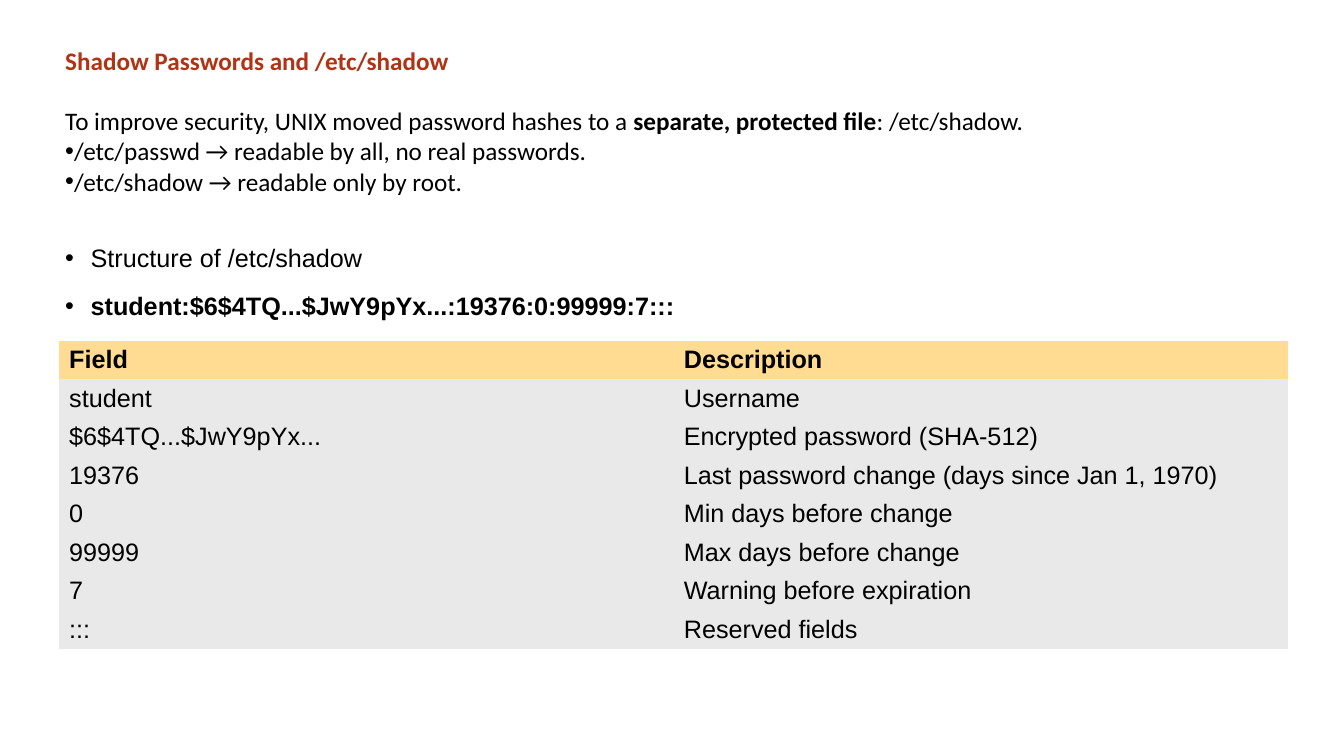
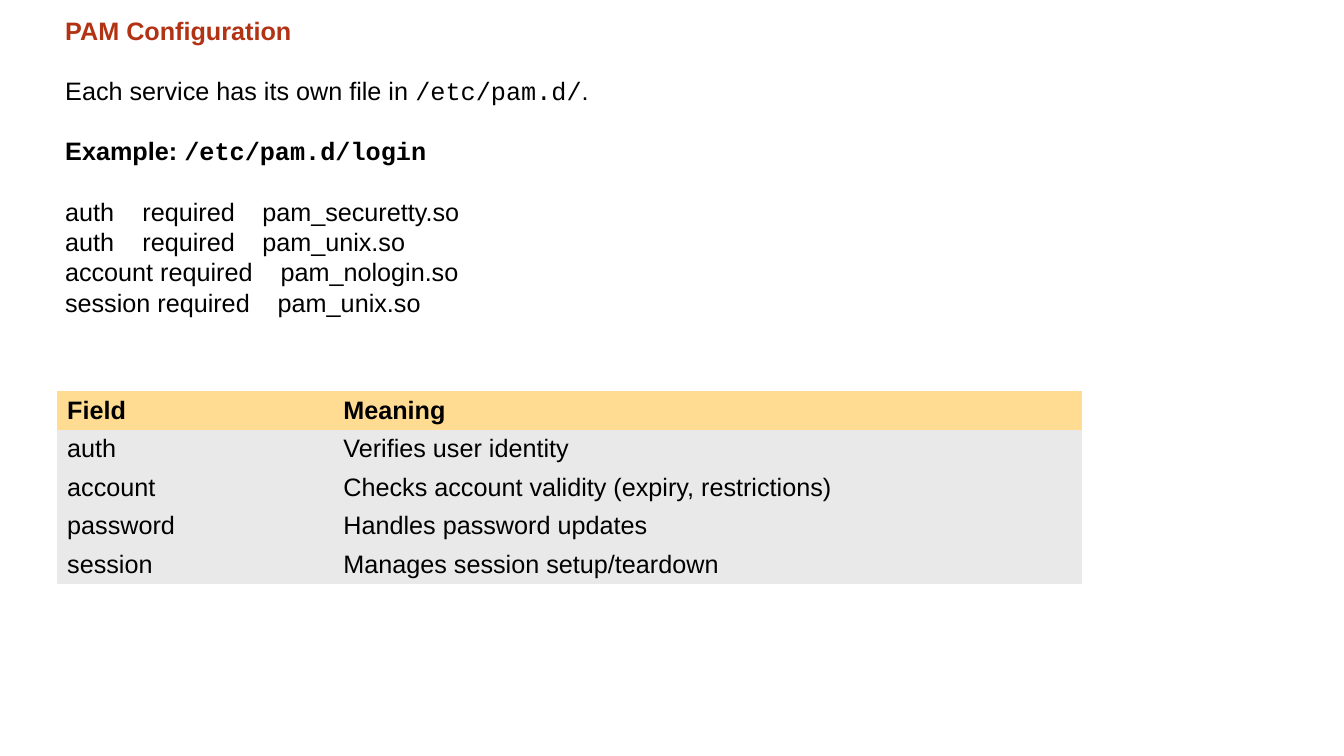
import pptx
import pptx.dml.color
import pptx.enum.text
import pptx.oxml
import pptx.oxml.ns
import pptx.util
from pptx.util import Cm

TITLE_COLOR = "B23214"
TEXT_COLOR = "000000"
HEADER_FILL = "FFDC91"
ROW_FILL = "E9E9E9"
LINE = 21.6  # points from one baseline to the next
TEXT_LEFT, TEXT_WIDTH = Cm(1.39), Cm(29.46)
TITLE_HEIGHT, BODY_OFFSET, ROW_HEIGHT = Cm(1.03), Cm(1.52), Cm(0.97)
NO_TABLE_STYLE = "{2D5ABB26-0587-4C30-8999-92F81FD0307C}"


def color(hex_code):
    return pptx.dml.color.RGBColor.from_string(hex_code)


def write(frame, text, font="Arial", ink=TEXT_COLOR, bold=False, bullet=False,
          hanging=0, tabs=(), before=0, line=None):
    """Add a paragraph; text is a string or a list of (text, bold, font) runs."""
    paragraph = frame.paragraphs[0]
    if paragraph.runs:
        paragraph = frame.add_paragraph()
    properties = paragraph._p.get_or_add_pPr()
    namespace = pptx.oxml.ns.nsdecls("a")
    if tabs:
        stops = "".join(f'<a:tab pos="{stop}" algn="l"/>' for stop in tabs)
        marks = [f"<a:tabLst {namespace}>{stops}</a:tabLst>"]
    else:
        properties.set("marL", str(hanging))
        properties.set("indent", str(-hanging))
        marks = [f"<a:buNone {namespace}/>"]
        if bullet:
            marks = [f'<a:buFont {namespace} typeface="Arial"/>',
                     f'<a:buChar {namespace} char="•"/>']
    for mark in marks:
        properties.append(pptx.oxml.parse_xml(mark))
    paragraph.alignment = pptx.enum.text.PP_ALIGN.LEFT
    paragraph.space_before = pptx.util.Pt(before)
    if line:
        paragraph.line_spacing = pptx.util.Pt(line)
    runs = [(text, bold, font)] if isinstance(text, str) else text
    for run_text, run_bold, run_font in runs:
        run = paragraph.add_run()
        run.text = run_text
        run.font.name = run_font
        run.font.size = pptx.util.Pt(18)
        run.font.bold = run_bold
        run.font.color.rgb = color(ink)


# Content
shadow_slide = {
    "title": "Shadow Passwords and /etc/shadow",
    "title_font": "Calibri",
    "title_top": Cm(1.01),
    "body": [
        ([("To improve security, UNIX moved password hashes to a ", False, "Calibri"),
          ("separate, protected file", True, "Calibri"),
          (": /etc/shadow.", False, "Calibri")], {}),
        ("/etc/passwd → readable by all, no real passwords.", {"font": "Calibri", "bullet": True}),
        ("/etc/shadow → readable only by root.", {"font": "Calibri", "bullet": True}),
        ("Structure of /etc/shadow",
         {"bullet": True, "hanging": Cm(0.64), "before": 30.4, "line": 24.2}),
        ("student:$6$4TQ...$JwY9pYx...:19376:0:99999:7:::",
         {"bullet": True, "hanging": Cm(0.64), "before": 10, "line": 24.2, "bold": True}),
    ],
    "config": [],
    "table_at": (Cm(1.49), Cm(8.59)),
    "columns": (Cm(15.49), Cm(15.49)),
    "rows": [
        ("Field", "Description"),
        ("student", "Username"),
        ("$6$4TQ...$JwY9pYx...", "Encrypted password (SHA-512)"),
        ("19376", "Last password change (days since Jan 1, 1970)"),
        ("0", "Min days before change"),
        ("99999", "Max days before change"),
        ("7", "Warning before expiration"),
        (":::", "Reserved fields"),
    ],
}
pam_slide = {
    "title": "PAM Configuration",
    "title_font": "Arial",
    "title_top": Cm(0.25),
    "body": [
        ([("Each service has its own file in ", False, "Arial"),
          ("/etc/pam.d/", False, "Courier New"),
          (".", False, "Arial")], {}),
        ([("Example: ", True, "Arial"),
          ("/etc/pam.d/login", True, "Courier New")], {"before": LINE}),
    ],
    "config": [
        ("auth\trequired\tpam_securetty.so", (Cm(1.95), Cm(4.97))),
        ("auth\trequired\tpam_unix.so", (Cm(1.95), Cm(4.97))),
        ("account required\tpam_nologin.so", (Cm(5.43),)),
        ("session required\tpam_unix.so", (Cm(5.36),)),
    ],
    "table_at": (Cm(1.44), Cm(9.86)),
    "columns": (Cm(6.96), Cm(18.87)),
    "rows": [
        ("Field", "Meaning"),
        ("auth", "Verifies user identity"),
        ("account", "Checks account validity (expiry, restrictions)"),
        ("password", "Handles password updates"),
        ("session", "Manages session setup/teardown"),
    ],
}

presentation = pptx.Presentation()
presentation.slide_width = Cm(33.87)
presentation.slide_height = Cm(19.05)

for content in (shadow_slide, pam_slide):
    slide = presentation.slides.add_slide(presentation.slide_layouts[1])
    title, body = slide.shapes.title, slide.placeholders[1]
    table_left, table_top = content["table_at"]

    # Title and body placeholders
    body_top = content["title_top"] + BODY_OFFSET
    config_top = body_top + pptx.util.Pt(4 * LINE)
    body_bottom = config_top if content["config"] else table_top
    for shape, top, height in ((title, content["title_top"], TITLE_HEIGHT),
                               (body, body_top, body_bottom - body_top)):
        shape.left, shape.top, shape.width, shape.height = TEXT_LEFT, top, TEXT_WIDTH, height
        shape.text_frame.word_wrap = True
        shape.text_frame.auto_size = pptx.enum.text.MSO_AUTO_SIZE.NONE
        shape.text_frame.vertical_anchor = pptx.enum.text.MSO_ANCHOR.TOP
    write(title.text_frame, content["title"], font=content["title_font"],
          ink=TITLE_COLOR, bold=True, line=LINE)
    for text, text_format in content["body"]:
        write(body.text_frame, text, **{"line": LINE, **text_format})

    # Configuration lines, with their fields at tab stops
    if content["config"]:
        config_box = slide.shapes.add_textbox(TEXT_LEFT, config_top, TEXT_WIDTH,
                                              table_top - config_top)
        config_box.text_frame.word_wrap = True
        for text, tabs in content["config"]:
            write(config_box.text_frame, text, tabs=tabs, line=LINE)

    # Field table
    rows, columns = content["rows"], content["columns"]
    table = slide.shapes.add_table(len(rows), len(columns), table_left, table_top,
                                   sum(columns), ROW_HEIGHT * len(rows)).table
    table.horz_banding = False
    table._tbl.tblPr.find(pptx.oxml.ns.qn("a:tableStyleId")).text = NO_TABLE_STYLE
    for column, width in zip(table.columns, columns):
        column.width = width
    for row_index, row in enumerate(rows):
        table.rows[row_index].height = ROW_HEIGHT
        for column_index, text in enumerate(row):
            cell = table.cell(row_index, column_index)
            cell.fill.solid()
            cell.fill.fore_color.rgb = color(ROW_FILL if row_index else HEADER_FILL)
            cell.vertical_anchor = pptx.enum.text.MSO_ANCHOR.MIDDLE
            cell.margin_top = cell.margin_bottom = Cm(0.1)
            write(cell.text_frame, text, bold=row_index == 0)

presentation.save("out.pptx")
